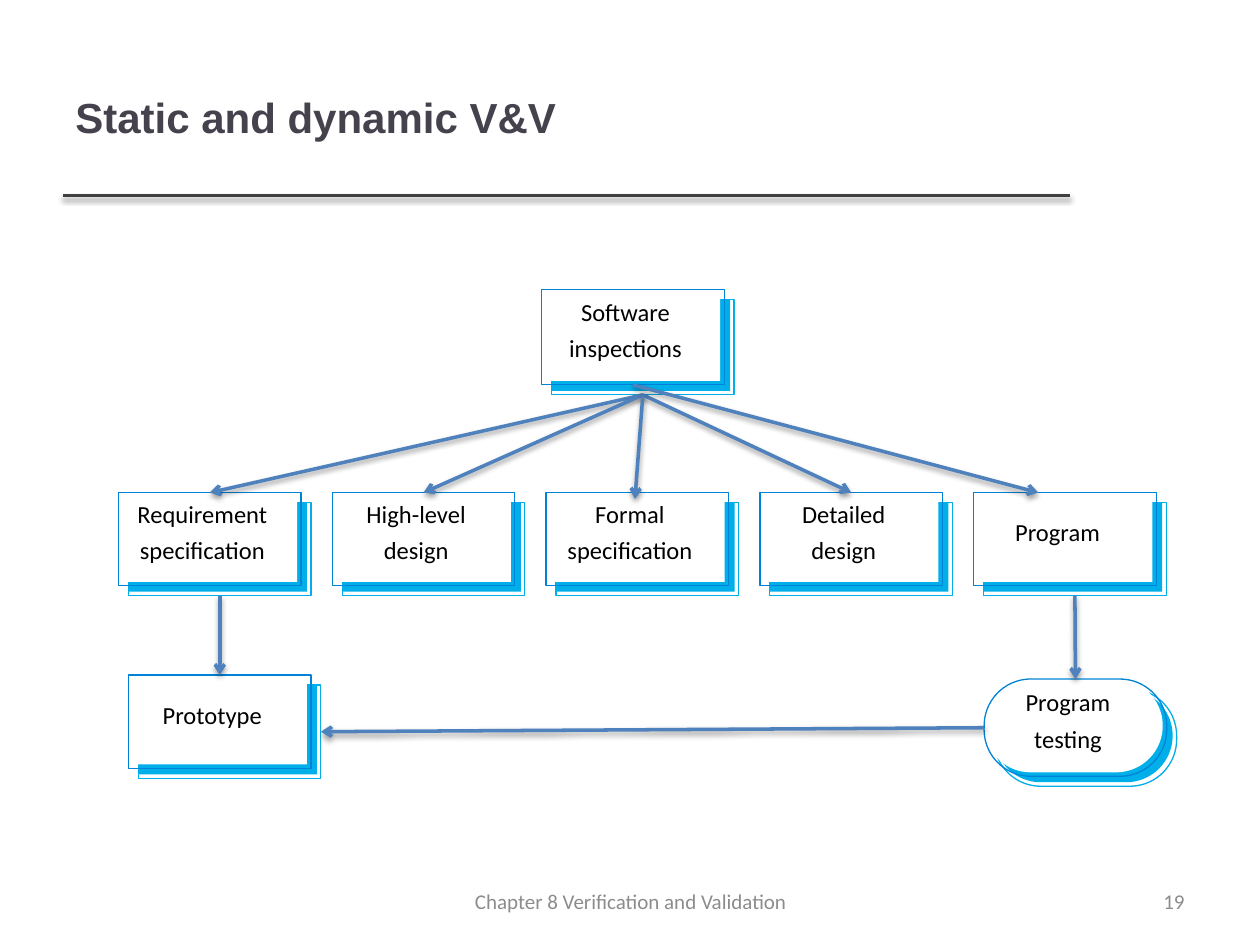
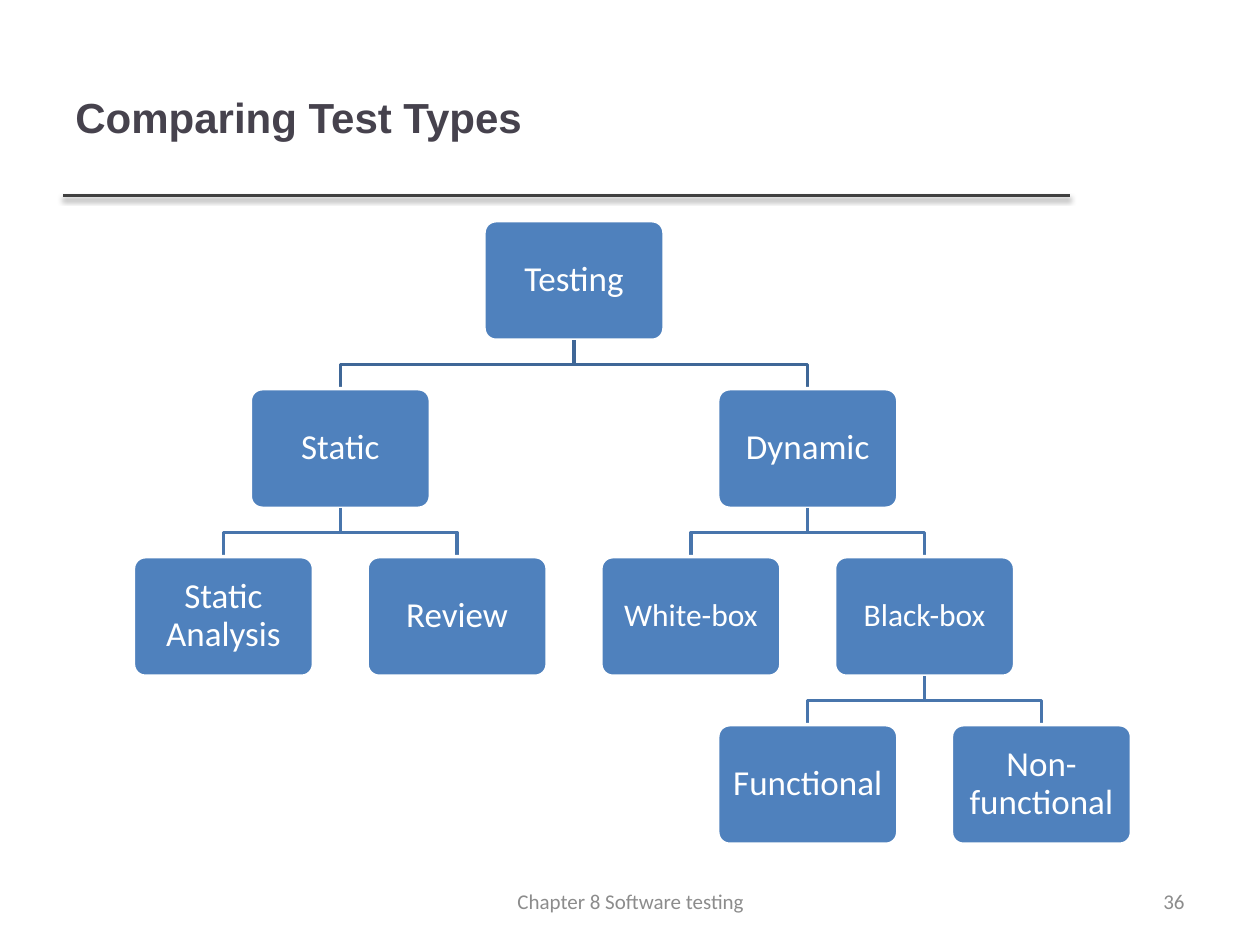
from lxml import etree
from pptx import Presentation
from pptx.dml.color import RGBColor
from pptx.enum.shapes import MSO_CONNECTOR, MSO_SHAPE
from pptx.enum.text import MSO_ANCHOR, PP_ALIGN
from pptx.oxml.ns import qn
from pptx.util import Cm, Pt

STRAIGHT = MSO_CONNECTOR.STRAIGHT
RECTANGLE = MSO_SHAPE.RECTANGLE
ROUNDED = MSO_SHAPE.ROUNDED_RECTANGLE
MIDDLE = MSO_ANCHOR.MIDDLE
LEFT, CENTER, RIGHT = PP_ALIGN.LEFT, PP_ALIGN.CENTER, PP_ALIGN.RIGHT
TOP_SIDE, LEFT_SIDE, BOTTOM_SIDE, RIGHT_SIDE = range(4)

HEADING_FONT, BODY_FONT = "Arial", "Calibri"
WHITE, BLACK, BLUE = "FFFFFF", "000000", "4F81BD"
TITLE_COLOR, RULE_COLOR, FOOTER_COLOR = "46424D", "404040", "8C8C8C"
CARD_BACK, CARD_EDGE = "00AFE9", "0083D7"
ROOT_BRANCH, LOWER_BRANCH = "3F6797", "4875AC"

CARD_WIDTH, CARD_HEIGHT, CARD_PITCH = 3.68, 1.88, 4.31
CARD_OFFSET, CARD_GAP = 0.2, 0.08
NODE_WIDTH, NODE_HEIGHT = 3.63, 2.41

ARTIFACTS = [
    ["Requirement", "specification"],
    ["High-level", "design"],
    ["Formal", "specification"],
    ["Detailed", "design"],
    ["Program"],
]

TEST_TYPES = [
    ("Testing", 3, 0, None, 20),
    ("Static", 1, 1, "Testing", 20),
    ("Static Analysis", 0, 2, "Static", 20),
    ("Review", 2, 2, "Static", 20),
    ("Dynamic", 5, 1, "Testing", 20),
    ("White-box", 4, 2, "Dynamic", 18),
    ("Black-box", 6, 2, "Dynamic", 18),
    ("Functional", 5, 3, "Black-box", 20),
    ("Non-functional", 7, 3, "Black-box", 20),
]


def rgb(value):
    """Turn a hex string into a colour."""
    return RGBColor.from_string(value)


def write(shape, lines, size, color, align=CENTER, font=BODY_FONT, bold=False, gap=0):
    """Write one paragraph per line, centred vertically in the shape."""
    frame = shape.text_frame
    frame.word_wrap = True
    frame.vertical_anchor = MIDDLE
    for index, line in enumerate(lines):
        para = frame.add_paragraph() if index else frame.paragraphs[0]
        para.alignment = align
        if index:
            para.space_before = Pt(gap)
        span = para.add_run()
        span.text = line
        span.font.name = font
        span.font.size = Pt(size)
        span.font.bold = bold
        span.font.color.rgb = rgb(color)
    return frame


def add_label(page, box, text, size, color, **style):
    """Add a text box at the given left, top, width and height."""
    label = page.shapes.add_textbox(*map(Cm, box))
    write(label, [text], size, color, **style)


def add_block(page, kind, box, fill=None, line=None, weight=0):
    """Add a flat preset shape with an optional fill and outline."""
    block = page.shapes.add_shape(kind, *map(Cm, box))
    block.shadow.inherit = False
    if fill:
        block.fill.solid()
        block.fill.fore_color.rgb = rgb(fill)
    else:
        block.fill.background()
    if line:
        block.line.color.rgb = rgb(line)
        block.line.width = Pt(weight)
    else:
        block.line.fill.background()
    return block


def add_line(page, start, end, color):
    """Add a straight line with a soft shadow below it."""
    line = page.shapes.add_connector(STRAIGHT, *map(Cm, (*start, *end)))
    line.line.color.rgb = rgb(color)
    line.line.width = Pt(2)
    effects = etree.SubElement(line._element.spPr, qn("a:effectLst"))
    shadow = etree.SubElement(effects, qn("a:outerShdw"), blurRad="40000",
                              dist="20000", dir="5400000", rotWithShape="0")
    tint = etree.SubElement(shadow, qn("a:srgbClr"), val=BLACK)
    etree.SubElement(tint, qn("a:alpha"), val="38000")
    return line


def add_arrow(page, source, source_side, target=None, target_side=TOP_SIDE, point=(0, 0)):
    """Join the source to a target shape, or point at a place on the page."""
    arrow = add_line(page, (0, 0), point, BLUE)
    arrow.begin_connect(source, source_side)
    if target is not None:
        arrow.end_connect(target, target_side)
    etree.SubElement(arrow.line._get_or_add_ln(), qn("a:tailEnd"), type="arrow")


def add_card(page, lines, left, top, height=CARD_HEIGHT, kind=RECTANGLE):
    """Add a white card on a blue backing and return both outlines."""
    outlines = []
    for shift, fill, edge in ((CARD_OFFSET, CARD_BACK, CARD_BACK), (0, WHITE, CARD_EDGE)):
        corner = (left + shift, top + shift)
        panel = add_block(page, kind, (*corner, CARD_WIDTH - CARD_GAP, height - CARD_GAP), fill=fill)
        outline = add_block(page, kind, (*corner, CARD_WIDTH, height), line=edge)
        if kind == ROUNDED:
            panel.adjustments[0] = 0.5
            outline.adjustments[0] = 0.48
        outlines.append(outline)
    back, front = outlines
    frame = write(front, lines, 14, BLACK, gap=4)
    frame.margin_left = frame.margin_top = 0
    frame.margin_right = frame.margin_bottom = Cm(0.3)
    return back, front


def add_inspection_diagram(page, left, top):
    """Draw the inspected artifacts, the prototype and the program test."""
    artifact_top = top + 4.09
    cards = [add_card(page, lines, left + index * CARD_PITCH, artifact_top)
             for index, lines in enumerate(ARTIFACTS)]
    requirement, high_level, _, detailed, program = cards
    prototype = add_card(page, ["Prototype"], left + 0.2, top + 7.77)
    testing = add_card(page, ["Program", "testing"], left + 17.45, top + 7.85, 1.96, ROUNDED)
    inspections = add_card(page, ["Software", "inspections"], left + 8.53, top, 1.92)

    inspection_back, inspection_front = inspections
    for _, front in (requirement, high_level, detailed):
        add_arrow(page, inspection_back, BOTTOM_SIDE, front)
    add_arrow(page, inspection_back, BOTTOM_SIDE, point=(left + 10.41, artifact_top + 0.13))
    add_arrow(page, inspection_front, BOTTOM_SIDE, point=(left + 18.54, artifact_top))
    add_arrow(page, requirement[0], BOTTOM_SIDE, prototype[1])
    add_arrow(page, testing[1], LEFT_SIDE, prototype[0], RIGHT_SIDE)
    add_arrow(page, program[0], BOTTOM_SIDE, testing[1])


def add_branch(page, start, end, color):
    """Draw a stepped line from a parent's bottom to a child's top."""
    middle = (start[1] + end[1]) / 2
    points = [start, (start[0], middle), (end[0], middle), end]
    corners = [(Cm(x), Cm(y)) for x, y in points]
    builder = page.shapes.build_freeform(*corners[0])
    builder.add_line_segments(corners[1:], close=False)
    branch = builder.convert_to_shape()
    branch.shadow.inherit = False
    branch.fill.background()
    branch.line.color.rgb = rgb(color)
    branch.line.width = Pt(2)


def add_test_tree(page, left, top, width, height):
    """Fit the tree of test types into the given box."""
    column_step = (width - NODE_WIDTH) / max(node[1] for node in TEST_TYPES)
    row_step = (height - NODE_HEIGHT) / max(node[2] for node in TEST_TYPES)
    corners = {label: (left + column * column_step, top + row * row_step)
               for label, column, row, _, _ in TEST_TYPES}
    for label, _, row, parent, size in TEST_TYPES:
        x, y = corners[label]
        if parent:
            parent_x, parent_y = corners[parent]
            add_branch(page, (parent_x + NODE_WIDTH / 2, parent_y + NODE_HEIGHT),
                       (x + NODE_WIDTH / 2, y), ROOT_BRANCH if row == 1 else LOWER_BRANCH)
        node = add_block(page, ROUNDED, (x, y, NODE_WIDTH, NODE_HEIGHT), BLUE, WHITE, 2)
        node.adjustments[0] = 0.1
        frame = write(node, [label], size, WHITE)
        frame.margin_left = frame.margin_right = Cm(0.15)
        frame.paragraphs[0].line_spacing = 0.9


def add_page(deck, title, footer, number):
    """Add a slide with its title, rule, footer and number."""
    page = deck.slides.add_slide(deck.slide_layouts[6])
    add_line(page, (1.27, 3.94), (21.56, 3.94), RULE_COLOR)
    add_label(page, (1.27, 0.76, 20.27, 3.18), title, 24, TITLE_COLOR,
              align=LEFT, font=HEADING_FONT, bold=True)
    add_label(page, (8.69, 17.65, 8.05, 1.02), footer, 12, FOOTER_COLOR)
    add_label(page, (18.21, 17.65, 5.92, 1.02), number, 12, FOOTER_COLOR, align=RIGHT)
    return page


def main():
    """Build and save the deck."""
    deck = Presentation()
    deck.slide_width, deck.slide_height = Cm(25.4), Cm(19.05)
    page = add_page(deck, "Static and dynamic V&V", "Chapter 8 Verification and Validation", "19")
    add_inspection_diagram(page, 2.39, 5.84)
    page = add_page(deck, "Comparing Test Types", "Chapter 8 Software testing", "36")
    add_test_tree(page, 2.69, 4.45, 20.12, 12.57)
    deck.save("out.pptx")


if __name__ == "__main__":
    main()
